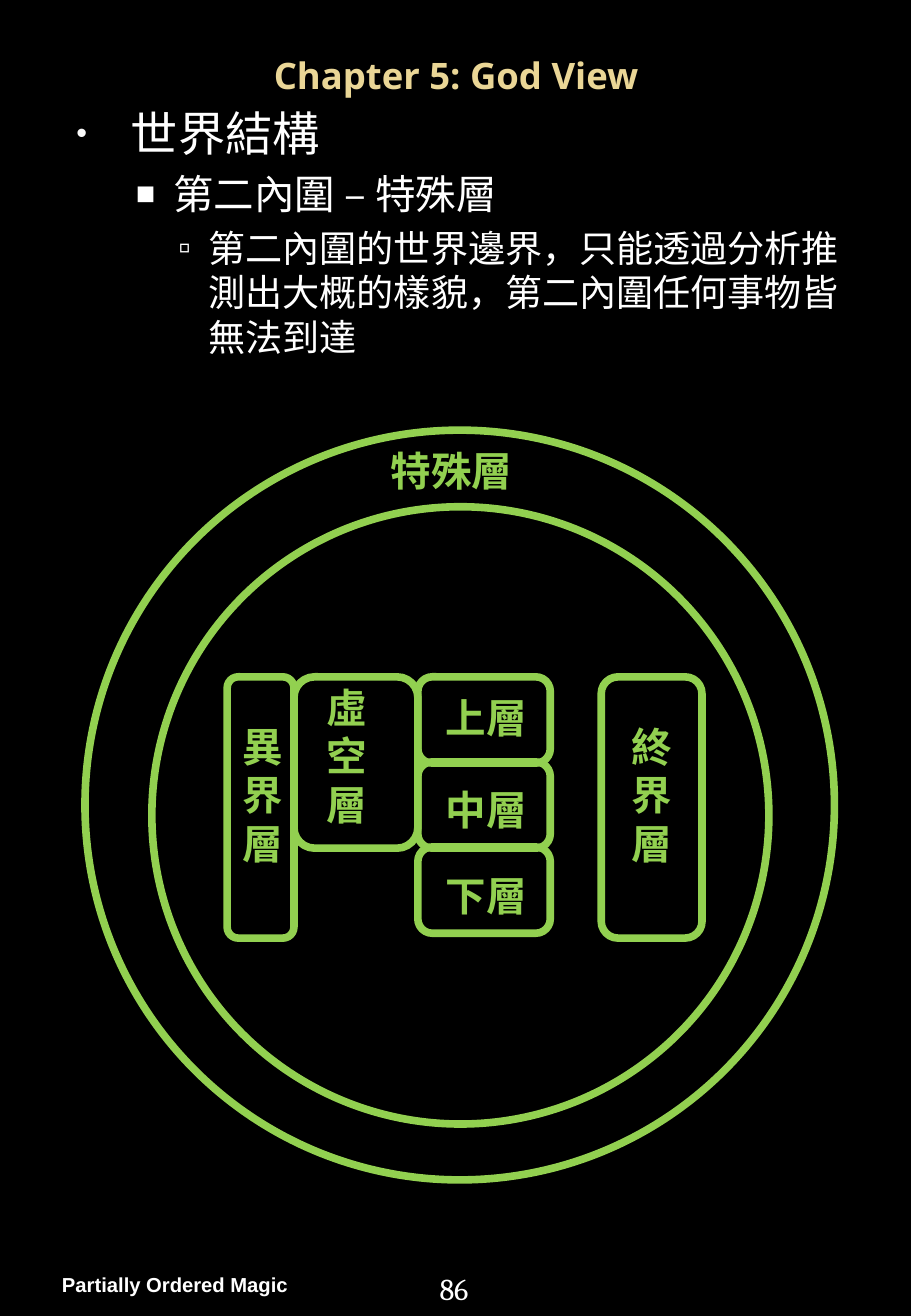
from dataclasses import dataclass
from lxml.etree import SubElement
from pptx import Presentation
from pptx.dml.color import RGBColor
from pptx.enum.shapes import MSO_SHAPE
from pptx.enum.text import MSO_ANCHOR, MSO_AUTO_SIZE, PP_ALIGN
from pptx.oxml.ns import qn
from pptx.util import Inches, Pt


@dataclass(frozen=True)
class Theme:
    background: str = "000000"
    text: str = "FFFFFF"
    first_bullet: str = "F9F9F9"
    title: str = "EAD696"
    diagram: str = "92D050"
    body_font: str = "Arial"
    title_font: str = "Noto Sans"
    number_font: str = "Cambria"
    title_size: float = 21.6
    label_size: float = 24
    footer_size: float = 12
    number_size: float = 18
    outline: float = 4.5


theme = Theme()
TITLE = "Chapter 5: God View"
FOOTER = "Partially Ordered Magic"
PAGE_NUMBER = "86"
OUTLINE = [
    ("世界結構", 28, 0.6, -0.45, "•", 65, theme.first_bullet),
    ("第二內圍 – 特殊層", 24, 0.95, -0.31, "■", 80, theme.text),
    ("第二內圍的世界邊界，只能透過分析推測出大概的樣貌，第二內圍任何事物皆無法到達",
     22, 1.24, -0.25, "▫", 95, theme.text),
]
LAYERS = [("上層", 5.65), ("中層", 6.41), ("下層", 7.12)]
LAYER_LEFT, LAYER_TOP, LAYER_STEP = 3.44, 5.57, 0.7
LAYER_WIDTH, LAYER_HEIGHT = 1.09, 0.71
REALM_BOXES = [
    (1.87, LAYER_TOP, 0.55, 2.15),
    (2.42, LAYER_TOP, 1.02, 1.41),
    (4.95, LAYER_TOP, 0.83, 2.15),
]
RINGS = [(0.7, 3.54, 6.17, 6.17), (1.25, 4.17, 5.08, 5.08)]
LABELS = [
    ("終界層", (5.1, 5.89, 0.68, 1.31), PP_ALIGN.LEFT),
    ("異界層", (1.9, 5.89, 0.37, 1.31), PP_ALIGN.LEFT),
    ("虛空層", (2.58, 5.57, 0.55, 1.31), PP_ALIGN.CENTER),
    ("特殊層", (3.12, 3.62, 1.33, 0.5), PP_ALIGN.LEFT),
]


def add_span(para, text, size, color, font, bold=False):
    span = para.add_run()
    span.text = text
    span.font.size = Pt(size)
    span.font.name = font
    span.font.bold = bold
    span.font.color.rgb = RGBColor.from_string(color)


def add_box(page, bounds):
    box = page.shapes.add_textbox(*map(Inches, bounds))
    box.text_frame.word_wrap = True
    return box.text_frame


def add_label(page, text, bounds, align):
    para = add_box(page, bounds).paragraphs[0]
    para.alignment = align
    add_span(para, text, theme.label_size, theme.diagram, theme.body_font, True)


def add_outline_shape(page, kind, bounds):
    shape = page.shapes.add_shape(kind, *map(Inches, bounds))
    shape.shadow.inherit = False
    shape.fill.background()
    shape.line.color.rgb = RGBColor.from_string(theme.diagram)
    shape.line.width = Pt(theme.outline)


def set_bullet(para, margin, indent, symbol, percent, color):
    properties = para._p.get_or_add_pPr()
    properties.set("marL", str(Inches(margin)))
    properties.set("indent", str(Inches(indent)))
    bullet_color = SubElement(properties, qn("a:buClr"))
    SubElement(bullet_color, qn("a:srgbClr"), val=color)
    SubElement(properties, qn("a:buSzPct"), val=str(percent * 1000))
    SubElement(properties, qn("a:buFont"), typeface=theme.body_font)
    SubElement(properties, qn("a:buChar"), char=symbol)


def add_title(page):
    title = page.shapes.title
    title.left, title.top, title.width, title.height = map(Inches, (0.38, 0.43, 6.75, 0.37))
    frame = title.text_frame
    frame.auto_size = MSO_AUTO_SIZE.NONE
    frame.vertical_anchor = MSO_ANCHOR.MIDDLE
    para = frame.paragraphs[0]
    para.alignment = PP_ALIGN.CENTER
    add_span(para, TITLE, theme.title_size, theme.title, theme.title_font, True)


def add_outline(page):
    frame = add_box(page, (0.38, 0.81, 6.75, 9.16))
    for level, (text, size, *bullet) in enumerate(OUTLINE):
        para = frame.add_paragraph() if level else frame.paragraphs[0]
        para.level = level
        para.space_before = Pt(size * 0.2)
        set_bullet(para, *bullet)
        add_span(para, text, size, theme.text, theme.body_font)


def add_footer(page):
    frame = add_box(page, (0.39, 10.41, 2.58, 0.32))
    frame.margin_left = frame.margin_right = Inches(0.12)
    frame.margin_top = frame.margin_bottom = Inches(0.06)
    add_span(frame.paragraphs[0], FOOTER, theme.footer_size, theme.text, theme.body_font, True)
    number = add_box(page, (3.52, 10.4, 1.02, 0.4)).paragraphs[0]
    add_span(number, PAGE_NUMBER, theme.number_size, theme.text, theme.number_font)


def add_diagram(page):
    for row, (text, label_top) in enumerate(LAYERS):
        top = LAYER_TOP + row * LAYER_STEP
        add_outline_shape(page, MSO_SHAPE.ROUNDED_RECTANGLE,
                          (LAYER_LEFT, top, LAYER_WIDTH, LAYER_HEIGHT))
        add_label(page, text, (LAYER_LEFT, label_top, 1.13, 0.5), PP_ALIGN.CENTER)
    for bounds in REALM_BOXES:
        add_outline_shape(page, MSO_SHAPE.ROUNDED_RECTANGLE, bounds)
    for bounds in RINGS:
        add_outline_shape(page, MSO_SHAPE.OVAL, bounds)
    for label in LABELS:
        add_label(page, *label)


def main():
    deck = Presentation()
    deck.slide_width, deck.slide_height = Inches(7.5), Inches(10.83)
    page = deck.slides.add_slide(deck.slide_layouts[5])
    page.background.fill.solid()
    page.background.fill.fore_color.rgb = RGBColor.from_string(theme.background)
    add_footer(page)
    add_title(page)
    add_outline(page)
    add_diagram(page)
    deck.save("out.pptx")


if __name__ == "__main__":
    main()
